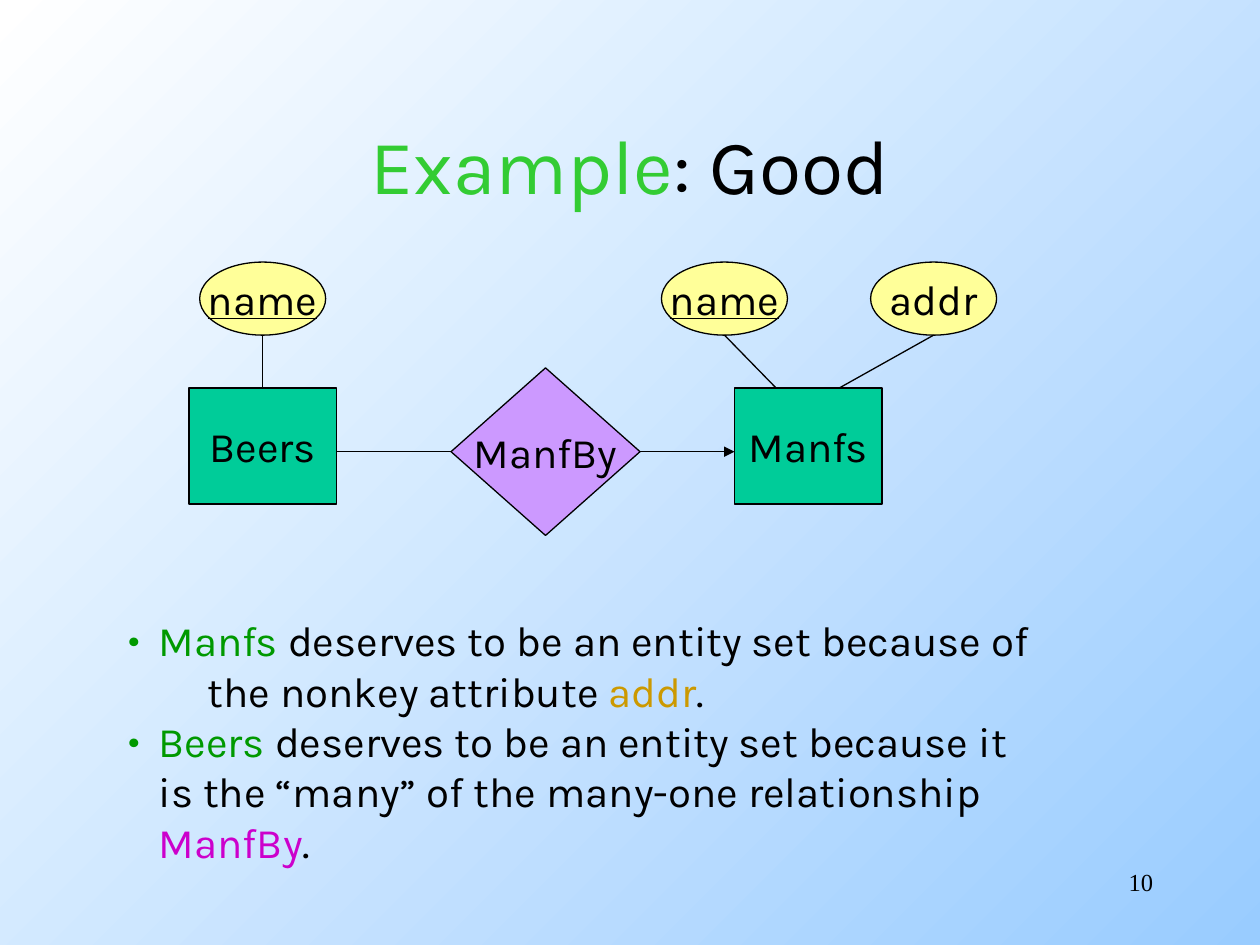
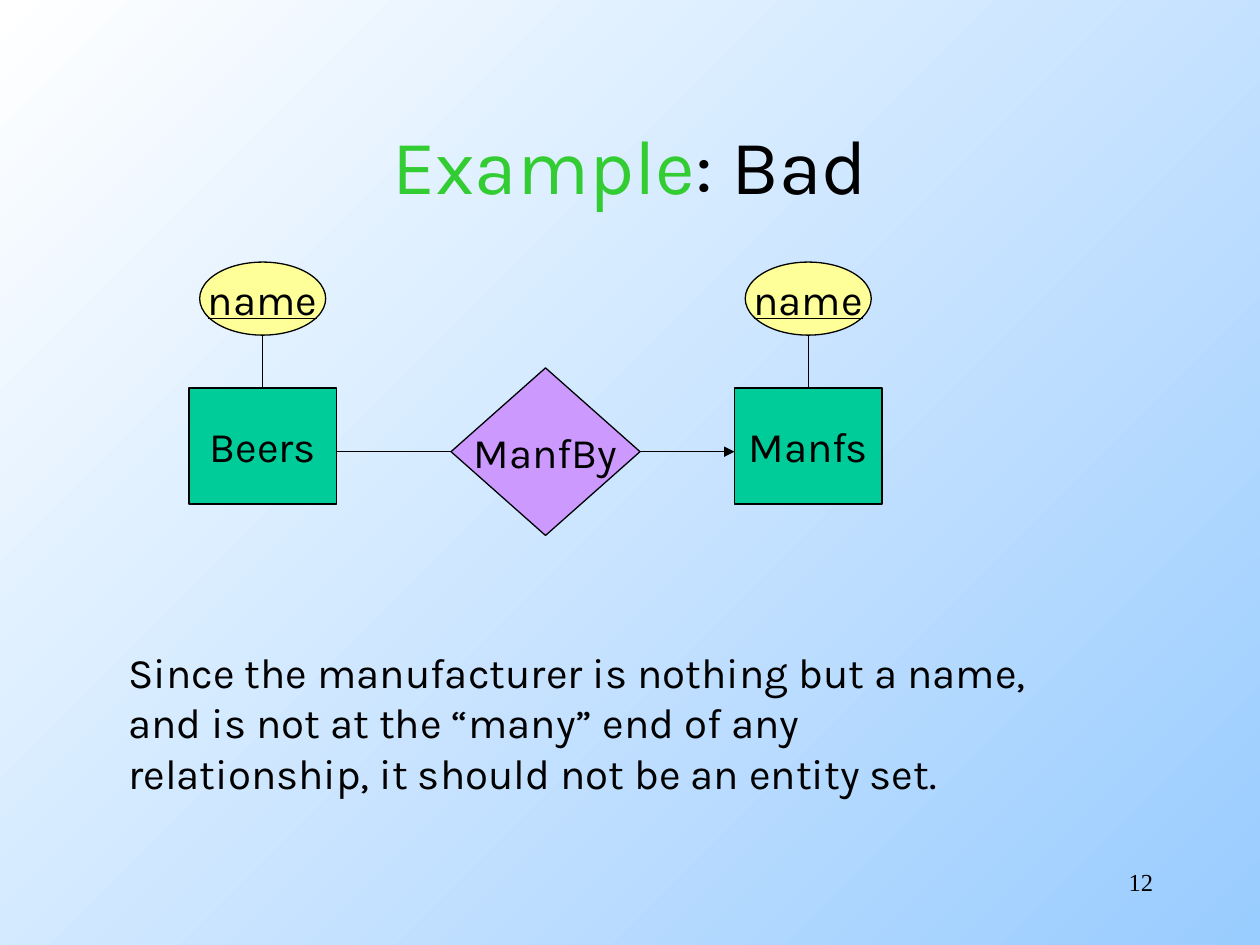
from lxml.etree import SubElement
from pptx import Presentation
from pptx.dml.color import RGBColor
from pptx.enum.shapes import MSO_CONNECTOR, MSO_SHAPE
from pptx.enum.text import MSO_ANCHOR, PP_ALIGN
from pptx.oxml.ns import qn
from pptx.util import Inches, Pt

FONT = "Karla"
BLACK = "000000"
GREEN = "009900"
TITLE_GREEN = "33CC33"
GOLD = "CC9900"
MAGENTA = "CC00CC"
ENTITY = "00CC99"
RELATION = "CC99FF"
ATTRIBUTE = "FFFF99"
BACKGROUND = ("99CCFF", "FFFFFF")
ATTR_W, ATTR_H = 1, 0.58
ENTITY_W, ENTITY_H = 1.17, 0.92
RELATION_W, RELATION_H = 1.5, 1.33


def rgb(color):
    return RGBColor.from_string(color)


def add_runs(p, parts, size=24, font=FONT):
    for text, color in parts:
        if text == "\n":
            p.add_line_break()
            continue
        r = p.add_run()
        r.text = text
        r.font.size = Pt(size)
        r.font.name = font
        r.font.color.rgb = rgb(color)


def add_text(slide, box, paragraphs, size=24, font=FONT, align=PP_ALIGN.LEFT,
             anchor=MSO_ANCHOR.TOP):
    tf = slide.shapes.add_textbox(*map(Inches, box)).text_frame
    tf.word_wrap = True
    tf.vertical_anchor = anchor
    for i, parts in enumerate(paragraphs):
        p = tf.paragraphs[0] if i == 0 else tf.add_paragraph()
        p.alignment = align
        add_runs(p, parts, size, font)
    return tf


def add_node(slide, kind, box, label, fill, underline=None):
    sp = slide.shapes.add_shape(kind, *map(Inches, box))
    sp.shadow.inherit = False
    sp.fill.solid()
    sp.fill.fore_color.rgb = rgb(fill)
    sp.line.color.rgb = rgb(BLACK)
    sp.line.width = Pt(0.75)
    tf = sp.text_frame
    tf.word_wrap = False
    tf.vertical_anchor = MSO_ANCHOR.MIDDLE
    p = tf.paragraphs[0]
    p.alignment = PP_ALIGN.CENTER
    add_runs(p, [(label, BLACK)])
    p.runs[0].font.underline = underline
    return sp


def add_line(slide, start, side, end, arrow=False):
    line = slide.shapes.add_connector(MSO_CONNECTOR.STRAIGHT, 0, 0, *map(Inches, end))
    line.begin_connect(start, side)
    line.line.color.rgb = rgb(BLACK)
    line.line.width = Pt(0.75)
    if arrow:
        SubElement(line.line._get_or_add_ln(), qn("a:tailEnd"), type="triangle")
    SubElement(line._element.spPr, qn("a:effectLst"))
    return line


def add_entity(slide, x, y, label, attributes):
    entity = add_node(slide, MSO_SHAPE.RECTANGLE, (x, y, ENTITY_W, ENTITY_H), label, ENTITY)
    for name, dx, foot, is_key in attributes:
        attr = add_node(slide, MSO_SHAPE.OVAL, (x + dx, y - 1, ATTR_W, ATTR_H),
                        name, ATTRIBUTE, is_key)
        line = add_line(slide, attr, 2, (x + foot, y))
        if foot == ENTITY_W / 2:
            line.end_connect(entity, 0)


def add_diagram(slide, x, y, manfs_attributes):
    above = [("name", (ENTITY_W - ATTR_W) / 2, ENTITY_W / 2, True)]
    manfs_x = x + 4.33
    relation_y = y + 0.84
    axis_y = relation_y + RELATION_H / 2
    add_entity(slide, x, y + 1, "Beers", above)
    add_entity(slide, manfs_x, y + 1, "Manfs", manfs_attributes or above)
    relation = add_node(slide, MSO_SHAPE.DIAMOND,
                        (x + 2.08, relation_y, RELATION_W, RELATION_H),
                        "ManfBy", RELATION)
    add_line(slide, relation, 1, (x + ENTITY_W, axis_y))
    add_line(slide, relation, 3, (manfs_x, axis_y), arrow=True)


def add_bullets(slide, box, paragraphs):
    tf = add_text(slide, box, paragraphs)
    for p in tf.paragraphs:
        pPr = p._p.get_or_add_pPr()
        pPr.set("marL", str(Inches(0.24)))
        pPr.set("indent", str(-Inches(0.24)))
        color = SubElement(pPr, qn("a:buClr"))
        SubElement(color, qn("a:srgbClr"), val=GREEN)
        SubElement(pPr, qn("a:buFont"), typeface=FONT)
        SubElement(pPr, qn("a:buChar"), char="•")
        tabs = SubElement(pPr, qn("a:tabLst"))
        SubElement(tabs, qn("a:tab"), pos=str(Inches(0.63)), algn="l")


def add_example(prs, verdict, number, manfs_attributes=None):
    slide = prs.slides.add_slide(prs.slide_layouts[6])
    fill = slide.background.fill
    fill.gradient()
    fill.gradient_angle = 135
    for stop, color in zip(fill.gradient_stops, BACKGROUND):
        stop.color.rgb = rgb(color)
    add_text(slide, (7.17, 6.83, 2.08, 0.5), [[(number, BLACK)]], 14,
             "Times New Roman", PP_ALIGN.RIGHT)
    add_text(slide, (0.75, 0.67, 8.5, 1.25),
             [[("Example", TITLE_GREEN), (f": {verdict}", BLACK)]], 44,
             align=PP_ALIGN.CENTER, anchor=MSO_ANCHOR.MIDDLE)
    add_diagram(slide, 1.5, 2.08, manfs_attributes)
    return slide


def add_good_example(prs):
    slide = add_example(prs, "Good", "10", [("name", -0.58, 0.33, True),
                                            ("addr", 1.08, 0.83, None)])
    add_bullets(slide, (0.92, 4.83, 7.52, 2.1), [
        [("Manfs", GREEN),
         (" deserves to be an entity set because of", BLACK),
         ("\n", BLACK),
         ("\tthe nonkey attribute ", BLACK),
         ("addr", GOLD), (".", BLACK)],
        [("Beers", GREEN),
         (" deserves to be an entity set because it is the “many” of the "
          "many-one relationship ", BLACK),
         ("ManfBy", MAGENTA), (".", BLACK)],
    ])


def add_bad_example(prs):
    slide = add_example(prs, "Bad", "12")
    add_text(slide, (0.92, 5.08, 7.52, 1.3), [[
        ("Since the manufacturer is nothing but a name, and is not at the “many” "
         "end of any relationship, it should not be an entity set.", BLACK)]])


def main():
    prs = Presentation()
    prs.slide_width = Inches(10)
    prs.slide_height = Inches(7.5)
    add_good_example(prs)
    add_bad_example(prs)
    prs.save("out.pptx")


if __name__ == "__main__":
    main()
